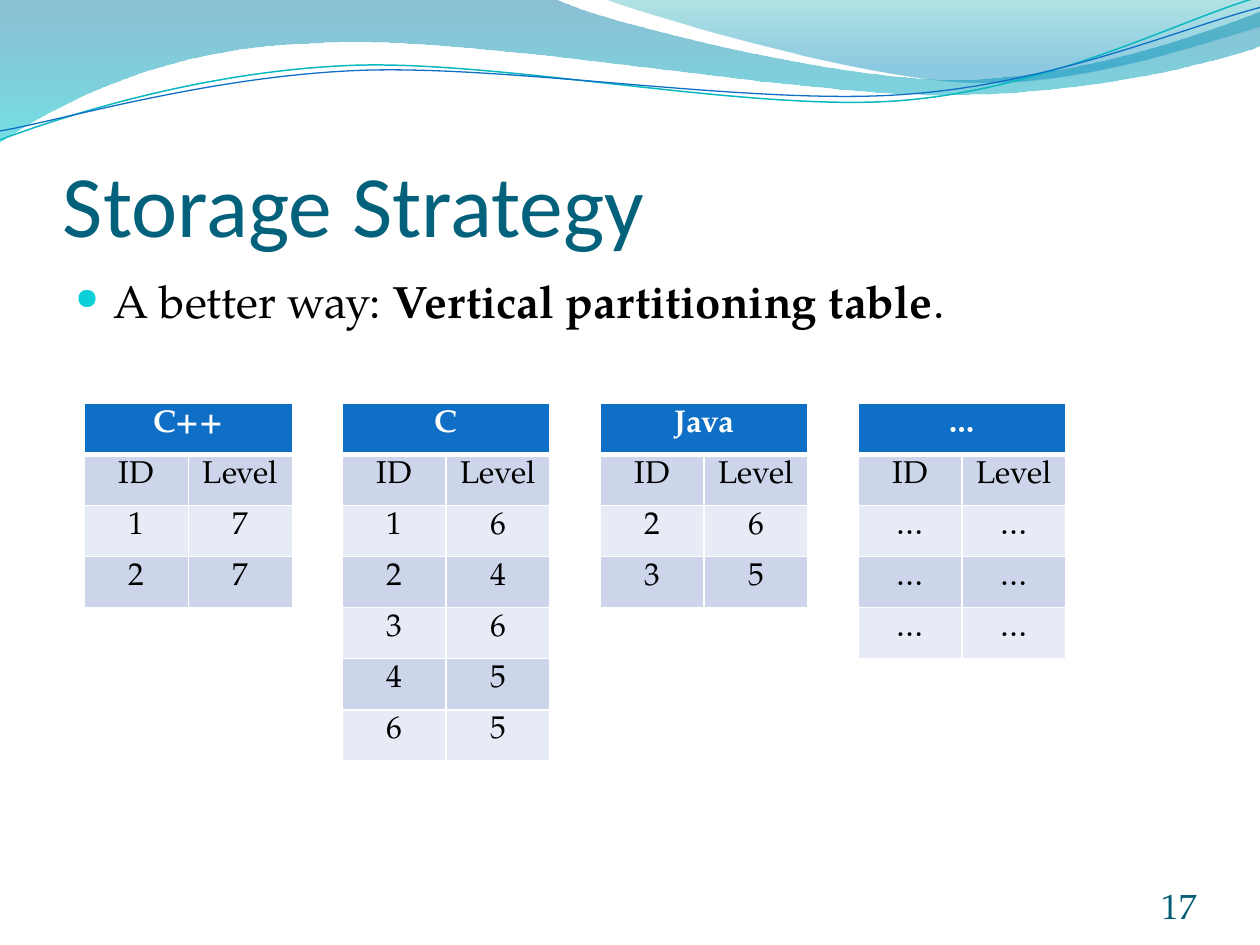
import math
import pptx
import pptx.util
import pptx.dml.color
import pptx.enum.text
import pptx.oxml.ns
from lxml import etree

Inches = pptx.util.Inches
Pt = pptx.util.Pt
RGB = pptx.dml.color.RGBColor
ALIGN = pptx.enum.text.PP_ALIGN
ANCHOR = pptx.enum.text.MSO_ANCHOR
qn = pptx.oxml.ns.qn

WHITE = RGB(0xFF, 0xFF, 0xFF)
BLACK = RGB(0, 0, 0)
TITLE = RGB(0x04, 0x61, 0x7B)
NUMBER = RGB(0x04, 0x5D, 0x75)
BULLET = RGB(0x0B, 0xD0, 0xD9)
BLUE = RGB(0x0F, 0x6F, 0xC6)
TEAL = RGB(0x0A, 0xB8, 0xBF)
DARK = RGB(0xCC, 0xD5, 0xEA)
LIGHT = RGB(0xE7, 0xEB, 0xF5)
SERIF = "TeX Gyre Pagella"
TILT = -2.7
FIRST, LAST = 0.67, 6.81

WAVES = [
    ([[(0, 0)], [(4.4, -0.01)],
      [(4.76, 0.17), (6.64, 0.63), (7.58, 0.63)],
      [(8.53, 0.63), (9.58, 0.26), (10, 0.09)],
      [(10.01, 0.36)],
      [(9.83, 0.44), (8.7, 0.76), (7.46, 0.75)],
      [(6.22, 0.75), (3.82, 0.28), (2.57, 0.34)],
      [(1.29, 0.36), (0.46, 0.83), (-0.01, 1.13)]],
     [(0, RGB(0x00, 0x74, 0xA1), 45), (1, RGB(0x00, 0xC6, 0xCF), 55)]),
    ([[(4.79, -0.01)],
      [(5.09, 0.11), (6.82, 0.62), (7.69, 0.65)],
      [(8.56, 0.69), (9.61, 0.32), (10, 0.21)],
      [(10, 0)]],
     [(0, RGB(0x00, 0xA1, 0xA9), 30), (0.8, RGB(0x00, 0x8B, 0xBF), 45)]),
]
CURVES = [
    ([[(0, 1.11)],
      [(0.48, 0.93), (1.58, 0.57), (2.77, 0.52)],
      [(3.95, 0.47), (5.93, 0.89), (7.13, 0.8)],
      [(8.33, 0.71), (9.38, 0.15), (9.98, -0.02)]], (4.99, 0.57), TEAL, 0.85),
    ([[(0, 1.04)],
      [(0.47, 0.96), (1.64, 0.61), (2.83, 0.56)],
      [(4.03, 0.51), (5.97, 0.84), (7.17, 0.75)],
      [(8.36, 0.67), (9.41, 0.21), (10, 0.06)]], (5, 0.59), BLUE, 0.75),
]
TABLES = [
    ("C++", [("1", "7"), ("2", "7")]),
    ("C", [("1", "6"), ("2", "4"), ("3", "6"), ("4", "5"), ("6", "5")]),
    ("Java", [("2", "6"), ("3", "5")]),
    ("…", [("…", "…")] * 3),
]


def turn(points, mid, angle):
    cos, sin = math.cos(math.radians(angle)), math.sin(math.radians(angle))
    return [(mid[0] + (x - mid[0]) * cos - (y - mid[1]) * sin,
             mid[1] + (x - mid[0]) * sin + (y - mid[1]) * cos) for x, y in points]


def outline(slide, steps, close):
    ends = [(Inches(x), Inches(y)) for x, y in (step[-1] for step in steps)]
    path = slide.shapes.build_freeform(*ends[0])
    path.add_line_segments(ends[1:], close=close)
    shape = path.convert_to_shape()
    shape.shadow.inherit = False
    parts = list(next(shape.element.iter(qn("a:path"))))
    for part, step in zip(parts, steps):
        if len(step) == 3:
            part.addprevious(bend(step, shape.left, shape.top))
            part.getparent().remove(part)
    return shape


def bend(points, left, top):
    curve = etree.Element(qn("a:cubicBezTo"))
    for x, y in points:
        etree.SubElement(curve, qn("a:pt"), x=str(Inches(x) - left),
                         y=str(Inches(y) - top))
    return curve


def add_wave(slide, steps, stops):
    shape = outline(slide, steps, True)
    shape.line.fill.background()
    shape.fill.gradient()
    shape.fill.gradient_angle = 270
    for stop, (place, color, _) in zip(shape.fill.gradient_stops, stops):
        stop.position = place
        stop.color.rgb = color
    tints = shape.element.spPr.iter(qn("a:srgbClr"))
    for tint, (_, _, alpha) in zip(tints, stops):
        etree.SubElement(tint, qn("a:alpha"), val=str(alpha * 1000))


def add_curve(slide, steps, mid, color, width):
    shape = outline(slide, [turn(step, mid, -TILT) for step in steps], False)
    shape.rotation = TILT
    shape.fill.background()
    shape.line.color.rgb = color
    shape.line.width = Pt(width)


def set_font(para, size, color, face=SERIF, bold=None):
    font = para.font
    font.size, font.name, font.bold = Pt(size), face, bold
    font.color.rgb = color


def add_text(slide, box, runs, inset, anchor):
    frame = slide.shapes.add_textbox(*map(Inches, box)).text_frame
    frame.word_wrap = True
    frame.vertical_anchor = anchor
    (frame.margin_left, frame.margin_top,
     frame.margin_right, frame.margin_bottom) = map(Inches, inset)
    para = frame.paragraphs[0]
    for text, bold in runs:
        run = para.add_run()
        run.text = text
        if bold:
            run.font.bold = True
    return para


def add_bullet(para):
    para.space_before = Pt(5)
    props = para._p.get_or_add_pPr()
    props.set("marL", str(Inches(0.3)))
    props.set("indent", str(-Inches(0.3)))
    color = etree.SubElement(props, qn("a:buClr"))
    etree.SubElement(color, qn("a:srgbClr"), val=str(BULLET))
    etree.SubElement(props, qn("a:buSzPct"), val="65000")
    etree.SubElement(props, qn("a:buChar"), char="●")


def set_edge(cell, side, width):
    props = cell._tc.get_or_add_tcPr()
    line = etree.SubElement(props, qn("a:ln" + side), w=str(Pt(width)))
    fill = etree.SubElement(line, qn("a:solidFill"))
    etree.SubElement(fill, qn("a:srgbClr"), val=str(WHITE))


def add_table(slide, left, name, data):
    rows = [(name, ""), ("ID", "Level")] + data
    high = Pt(29.2)
    table = slide.shapes.add_table(len(rows), 2, Inches(left), Inches(3.2),
                                   Inches(1.65), high * len(rows)).table
    table.first_row = table.horz_banding = False
    table.cell(0, 0).merge(table.cell(0, 1))
    for r, row in enumerate(rows):
        table.rows[r].height = high
        for c, text in enumerate(row):
            cell = table.cell(r, c)
            for side in "LRTB":
                set_edge(cell, side, 3 if (r, side) == (0, "B") else 1)
            cell.fill.solid()
            cell.fill.fore_color.rgb = BLUE if r == 0 else DARK if r % 2 else LIGHT
            if text:
                cell.text = text
                para = cell.text_frame.paragraphs[0]
                para.alignment = ALIGN.CENTER
                set_font(para, 18, BLACK if r else WHITE, bold=r == 0)


def main():
    deck = pptx.Presentation()
    deck.slide_width, deck.slide_height = Inches(10), Inches(7.5)
    slide = deck.slides.add_slide(deck.slide_layouts[6])
    for wave in WAVES:
        add_wave(slide, *wave)
    for curve in CURVES:
        add_curve(slide, *curve)

    title = add_text(slide, (0.5, 0.77, 9, 1.25), [("Storage Strategy", False)],
                     (0, 0.05, 0, 0), ANCHOR.BOTTOM)
    set_font(title, 50, TITLE, "Calibri")
    body = add_text(slide, (0.5, 2.12, 9, 4.8),
                    [("A better way: ", False),
                     ("Vertical partitioning table", True), (".", False)],
                    (0.1, 0.05, 0.1, 0.05), ANCHOR.TOP)
    add_bullet(body)
    set_font(body, 26, BLACK)
    number = add_text(slide, (8.67, 6.95, 0.83, 0.4), [("17", False)],
                      (0, 0, 0, 0), ANCHOR.BOTTOM)
    number.alignment = ALIGN.RIGHT
    set_font(number, 20, NUMBER)

    pitch = (LAST - FIRST) / (len(TABLES) - 1)
    for i, (name, data) in enumerate(TABLES):
        add_table(slide, FIRST + pitch * i, name, data)
    deck.save("out.pptx")


if __name__ == "__main__":
    main()
